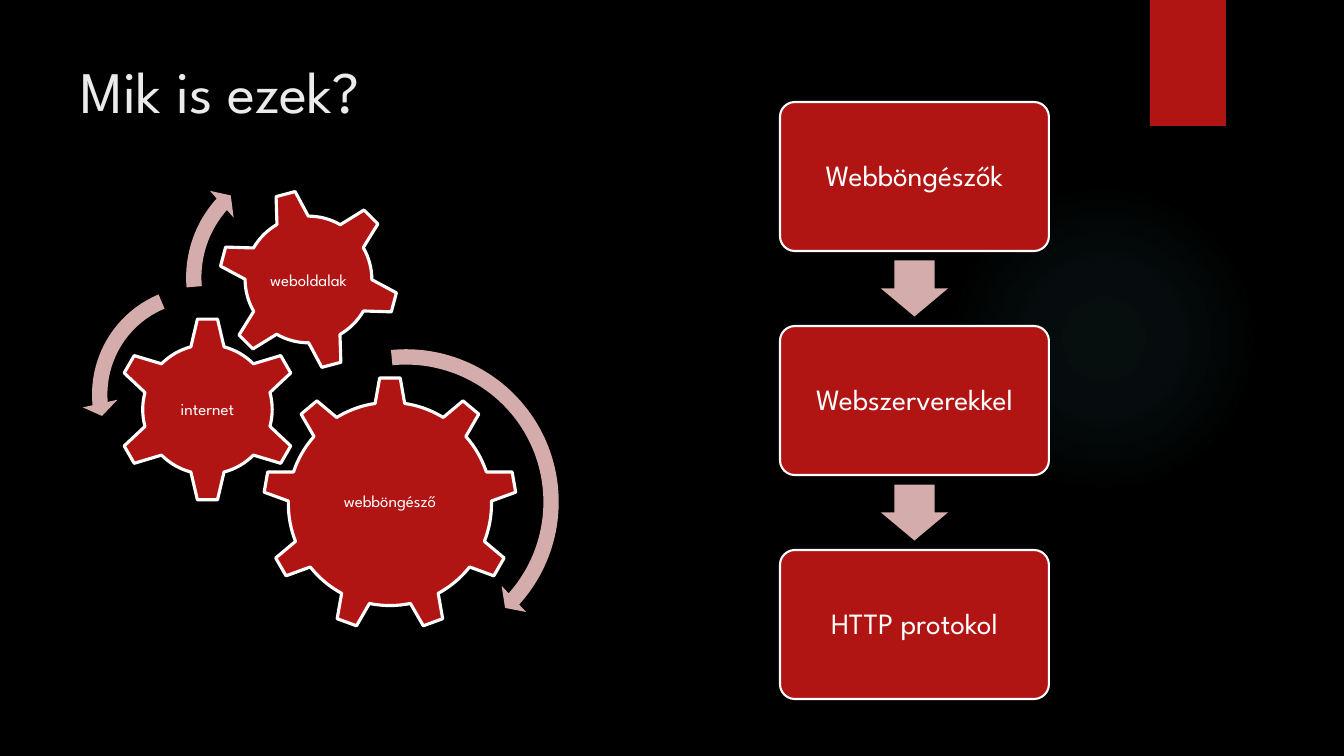
from lxml.etree import SubElement
from pptx import Presentation
from pptx.dml.color import RGBColor
from pptx.enum.shapes import MSO_SHAPE
from pptx.enum.text import MSO_ANCHOR, PP_ALIGN
from pptx.oxml.ns import qn
from pptx.util import Pt

FONT = "League Spartan"
COLORS = {
    "background": "000000", "title": "EBEBEB", "red": "B01513",
    "pink": "D4ACAB", "white": "FFFFFF", "glow": "50B9C1", "shadow": "000000",
}
TITLE = "Mik is ezek?"
# label, preset, left, top, size, rotation, vertical centre of the label
GEARS = [
    ("webböngésző", MSO_SHAPE.GEAR_9, 263, 377, 254, 0, 502),
    ("internet", MSO_SHAPE.GEAR_6, 115, 317, 185, 0, 410),
    ("weboldalak", MSO_SHAPE.GEAR_6, 218, 189, 181, 345, 281),
]
# preset, left, top, size, adjustments
TURNS = [
    (MSO_SHAPE.CIRCULAR_ARROW, 243, 339, 326, (0.047, 2.99, 25.163, 158.61, 0.055)),
    (MSO_SHAPE.LEFT_CIRCULAR_ARROW, 82, 276, 237, (0.065, 4.3, 104.891, 148.378, 0.075)),
    (MSO_SHAPE.CIRCULAR_ARROW, 176, 150, 255, (0.06, 3.941, 133.138, 105.082, 0.07)),
]
STEPS = ["Webböngészők", "Webszerverekkel", "HTTP protokol"]
STEP_LEFT, STEP_TOP, STEP_W, STEP_H, STEP_PITCH = 780, 102, 269, 149, 224
ARROW_W, ARROW_H = 67, 56
LABEL_H = 60
GLOW_STOPS = [(0, 7), (36, 6), (69, 0)]  # position %, opacity %


def px(length):
    return round(length * 914400 / 100.8)


def color(name):
    return RGBColor.from_string(COLORS[name])


def add_shape(preset, left, top, width, height, fill=None, outline=0, adjustments=()):
    shape = slide.shapes.add_shape(preset, px(left), px(top), px(width), px(height))
    shape.shadow.inherit = False
    for i, value in enumerate(adjustments):
        shape.adjustments[i] = value
    if fill:
        shape.fill.solid()
        shape.fill.fore_color.rgb = color(fill)
    if outline:
        shape.line.color.rgb = color("white")
        shape.line.width = Pt(outline)
    else:
        shape.line.fill.background()
    return shape


def write(shape, text, size, font_color="white", centred=True):
    frame = shape.text_frame
    frame.word_wrap = True
    frame.vertical_anchor = MSO_ANCHOR.MIDDLE if centred else MSO_ANCHOR.TOP
    paragraph = frame.paragraphs[0]
    paragraph.alignment = PP_ALIGN.CENTER if centred else PP_ALIGN.LEFT
    if centred:
        paragraph.line_spacing = 0.9
    run = paragraph.add_run()
    run.text = text
    run.font.name = FONT
    run.font.size = Pt(size)
    run.font.color.rgb = color(font_color)


def add_text(text, size, left, top, width, height, **style):
    box = slide.shapes.add_textbox(px(left), px(top), px(width), px(height))
    write(box, text, size, **style)


def add_color(parent, name, opacity):
    element = SubElement(parent, qn("a:srgbClr"), val=COLORS[name])
    SubElement(element, qn("a:alpha"), val=str(opacity * 1000))


def add_glow(shape):
    """Fill the shape with a translucent gradient that fades from its centre."""
    shape.fill.background()
    properties = shape.fill._xPr
    gradient = SubElement(properties, qn("a:gradFill"), rotWithShape="1")
    properties.replace(properties.find(qn("a:noFill")), gradient)
    stops = SubElement(gradient, qn("a:gsLst"))
    for position, opacity in GLOW_STOPS:
        stop = SubElement(stops, qn("a:gs"), pos=str(position * 1000))
        add_color(stop, "glow", opacity)
    circle = SubElement(gradient, qn("a:path"), {"path": "circle"})
    SubElement(circle, qn("a:fillToRect"), dict.fromkeys("ltrb", "50000"))


def add_drop_shadow(shape):
    effects = shape._element.spPr.find(qn("a:effectLst"))
    shadow = SubElement(effects, qn("a:outerShdw"), blurRad=str(Pt(3)),
                        dist=str(Pt(2)), dir="5400000", rotWithShape="0")
    add_color(shadow, "shadow", 45)


prs = Presentation()
prs.slide_width, prs.slide_height = px(1344), px(756)
slide = prs.slides.add_slide(prs.slide_layouts[6])
slide.background.fill.solid()
slide.background.fill.fore_color.rgb = color("background")

add_glow(add_shape(MSO_SHAPE.OVAL, 949, 184, 310, 310))
add_drop_shadow(add_shape(MSO_SHAPE.RECTANGLE, 1150, 0, 76, 126, "red"))
add_text(TITLE, 42, 71, 50, 1037, 154, font_color="title", centred=False)

for label, preset, left, top, size, rotation, middle in GEARS:
    gear = add_shape(preset, left, top, size, size, "red", 2.25)
    gear.rotation = rotation
    add_text(label, 12, left, middle - LABEL_H / 2, size, LABEL_H)

for preset, left, top, size, adjustments in TURNS:
    add_shape(preset, left, top, size, size, "pink", adjustments=adjustments)

for i, step in enumerate(STEPS):
    top = STEP_TOP + i * STEP_PITCH
    box = add_shape(MSO_SHAPE.ROUNDED_RECTANGLE, STEP_LEFT, top, STEP_W, STEP_H,
                    "red", 1.5, (0.1,))
    write(box, step, 21)
    if i < len(STEPS) - 1:
        gap_middle = top + (STEP_H + STEP_PITCH) / 2
        add_shape(MSO_SHAPE.DOWN_ARROW, STEP_LEFT + (STEP_W - ARROW_W) / 2,
                  gap_middle - ARROW_H / 2, ARROW_W, ARROW_H, "pink",
                  adjustments=(0.6, 0.5))

prs.save("out.pptx")
